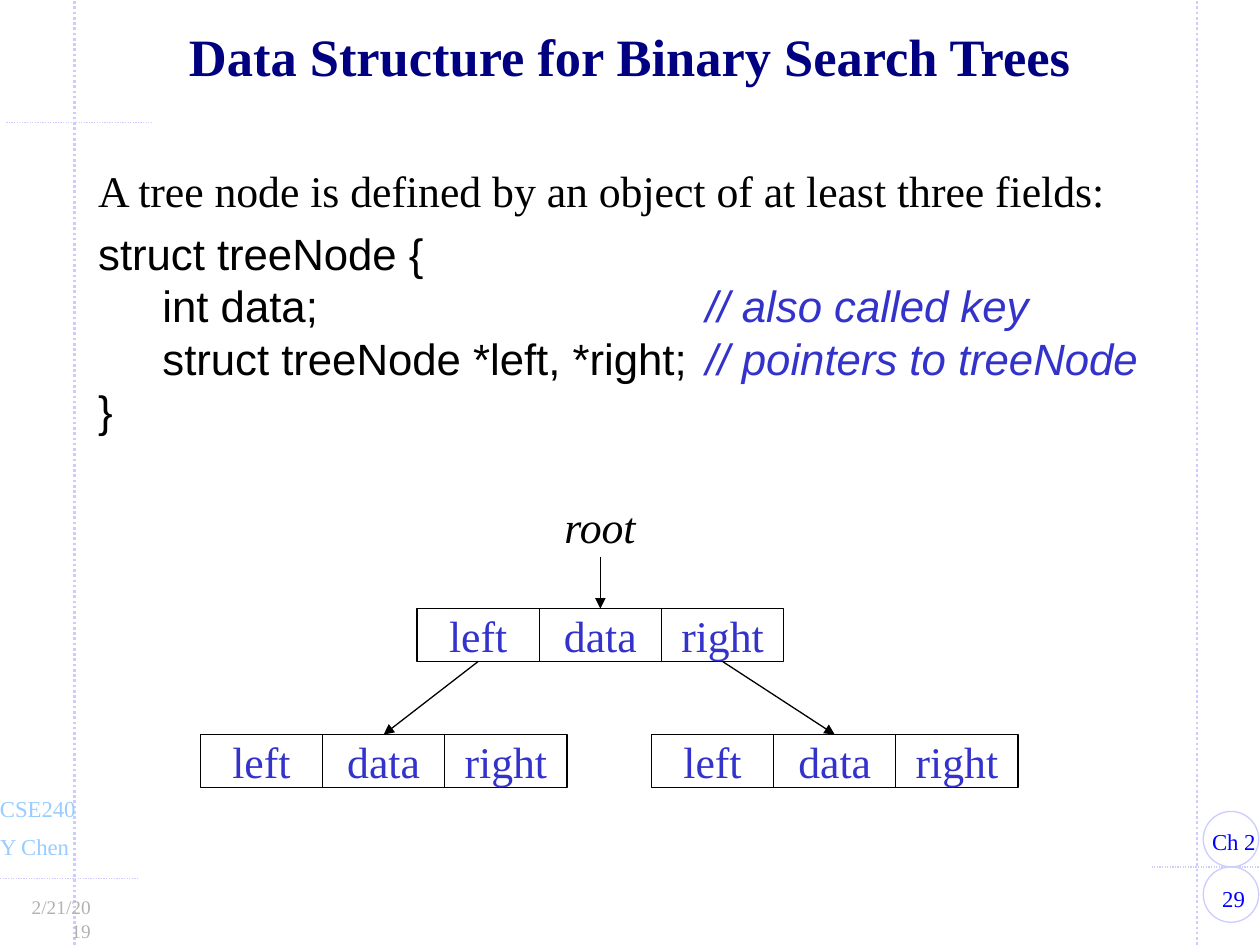
from pptx import Presentation
from pptx.dml.color import RGBColor
from pptx.enum.dml import MSO_LINE
from pptx.enum.shapes import MSO_CONNECTOR, MSO_SHAPE
from pptx.enum.text import MSO_ANCHOR, MSO_AUTO_SIZE, PP_ALIGN
from pptx.oxml.ns import qn
from pptx.util import Inches, Pt
from lxml import etree

BLACK = RGBColor(0x00, 0x00, 0x00)
WHITE = RGBColor(0xFF, 0xFF, 0xFF)
NAVY = RGBColor(0x00, 0x00, 0x80)
BLUE = RGBColor(0x00, 0x00, 0xFF)
INDIGO = RGBColor(0x33, 0x33, 0xCC)
LILAC = RGBColor(0xCC, 0xCC, 0xFF)
SKY = RGBColor(0x99, 0xCC, 0xFF)
GRAY = RGBColor(0xB2, 0xB2, 0xB2)
SERIF, SANS = "Times New Roman", "Arial"
STRAIGHT = MSO_CONNECTOR.STRAIGHT
RECT, OVAL = MSO_SHAPE.RECTANGLE, MSO_SHAPE.OVAL
DOTTED = MSO_LINE.ROUND_DOT
GROW = MSO_AUTO_SIZE.SHAPE_TO_FIT_TEXT
TOP, MIDDLE = MSO_ANCHOR.TOP, MSO_ANCHOR.MIDDLE
LEFT, CENTER, RIGHT = PP_ALIGN.LEFT, PP_ALIGN.CENTER, PP_ALIGN.RIGHT
TOP_SIDE, BOTTOM_SIDE = 0, 2
CELL_W, CELL_H = 0.97, 0.42
ROOT_X, ROOT_Y, CHILD_Y = 3.31, 4.83, 5.83
TAB_STOPS = (0.51, 4.82)


class Deck:
    """Builds the elements of the current slide in one style."""

    def __init__(self):
        self.prs = Presentation()
        self.prs.slide_width, self.prs.slide_height = Inches(10), Inches(7.5)
        self.s = self.prs.slides.add_slide(self.prs.slide_layouts[5])

    def frame(self, sp, anchor=TOP, wrap=True):
        tf = sp.text_frame
        tf.margin_left = tf.margin_right = Inches(0.11)
        tf.margin_top = tf.margin_bottom = Inches(0.05)
        tf.vertical_anchor, tf.word_wrap = anchor, wrap
        return tf

    def style(self, r, size, color, font=SERIF, bold=False, italic=False):
        r.font.size, r.font.name = Pt(size), font
        r.font.color.rgb = color
        r.font.bold, r.font.italic = bold, italic

    def title(self, text, x, y, w, h):
        sp = self.s.shapes.title
        sp.left, sp.top, sp.width, sp.height = map(Inches, (x, y, w, h))
        tf = self.frame(sp, MIDDLE)
        tf.text = text
        p = tf.paragraphs[0]
        p.alignment, p.line_spacing = CENTER, 0.85
        self.style(p.runs[0], 30, NAVY, bold=True)

    def box(self, x, y, w, h):
        return self.s.shapes.add_textbox(*map(Inches, (x, y, w, h)))

    def label(self, text, x, y, w, h, size, color, align=LEFT, wrap=False, italic=False):
        tf = self.frame(self.box(x, y, w, h), wrap=wrap)
        tf.auto_size = GROW
        tf.text = text
        p = tf.paragraphs[0]
        p.alignment = align
        self.style(p.runs[0], size, color, italic=italic)

    def code(self, lines, x, y, w, h):
        tf = self.frame(self.box(x, y, w, h))
        for i, (text, comment, font, spacing) in enumerate(lines):
            p = tf.paragraphs[0] if i == 0 else tf.add_paragraph()
            tabs = etree.SubElement(p._p.get_or_add_pPr(), qn("a:tabLst"))
            for pos in TAB_STOPS:
                etree.SubElement(tabs, qn("a:tab"), pos=str(Inches(pos)), algn="l")
            p.line_spacing = spacing
            for part, color in ((text, BLACK), (comment, INDIGO)):
                if part:
                    r = p.add_run()
                    r.text = part
                    self.style(r, 25, color, font, italic=color == INDIGO)

    def shape(self, kind, x, y, w, h, color):
        sp = self.s.shapes.add_shape(kind, *map(Inches, (x, y, w, h)))
        sp.shadow.inherit = False
        sp.fill.background()
        sp.line.color.rgb, sp.line.width = color, Pt(0.75)
        return sp

    def node(self, x, y):
        cells = []
        for i, text in enumerate(("left", "data", "right")):
            sp = self.shape(RECT, x + i * CELL_W, y, CELL_W, CELL_H, BLACK)
            sp.fill.solid()
            sp.fill.fore_color.rgb = WHITE
            tf = self.frame(sp, MIDDLE, wrap=False)
            tf.text = text
            tf.paragraphs[0].alignment = CENTER
            self.style(tf.paragraphs[0].runs[0], 25, INDIGO)
            cells.append(sp)
        return cells

    def line(self, x1, y1, x2, y2, color, width=0.75):
        ln = self.s.shapes.add_connector(STRAIGHT, *map(Inches, (x1, y1, x2, y2)))
        ln.line.color.rgb, ln.line.width = color, Pt(width)
        etree.SubElement(ln._element.spPr, qn("a:effectLst"))
        return ln

    def guide(self, x1, y1, x2, y2, width):
        self.line(x1, y1, x2, y2, LILAC, width).line.dash_style = DOTTED

    def arrow(self, target, source=None, start=(0, 0)):
        ln = self.line(*start, *start, BLACK)
        if source is not None:
            ln.begin_connect(source, BOTTOM_SIDE)
        ln.end_connect(target, TOP_SIDE)
        etree.SubElement(ln.line._get_or_add_ln(), qn("a:tailEnd"), type="triangle")


def main():
    deck = Deck()
    for x in (0.59, 9.5):
        deck.guide(x, 7.5, x, 0, 1.5)
    for x1, x2, y in ((-0.06, 1.09, 6.97), (9.14, 10.05, 6.88), (0.05, 1.2, 0.97)):
        deck.guide(x1, y, x2, y, 0.75)
    for y in (6.88, 6.44):
        deck.shape(OVAL, 9.55, y, 0.44, 0.44, LILAC)
    deck.label("29", 9.5, 6.97, 0.58, 0.32, 13, BLUE, CENTER, wrap=True)
    deck.label("Ch 2", 9.51, 6.52, 0.58, 0.32, 13, BLUE)
    deck.label("Y Chen", -0.11, 6.56, 0.79, 0.32, 13, SKY)
    deck.label("CSE240", -0.11, 6.26, 0.83, 0.32, 13, SKY)
    deck.label("2/21/2019", 0.08, 7.06, 0.75, 0.29, 11, GRAY, RIGHT, wrap=True)

    deck.title("Data Structure for Binary Search Trees", 0.73, 0.17, 8.54, 0.62)
    deck.code((
        ("A tree node is defined by an object of at least three fields:", "", SERIF, 1.0),
        ("struct treeNode {", "", SANS, 1.2),
        ("\tint data;\t", "// also called key", SANS, 1.0),
        ("\tstruct treeNode *left, *right;\t", "// pointers to treeNode", SANS, 1.0),
        ("}", "", SANS, 1.0),
    ), 0.67, 1.25, 9.47, 2.29)

    deck.label("root", 4.37, 3.92, 0.79, 0.52, 25, BLACK, italic=True)
    root_left, root_data, root_right = deck.node(ROOT_X, ROOT_Y)
    left_child = deck.node(1.59, CHILD_Y)
    right_child = deck.node(5.17, CHILD_Y)
    deck.arrow(root_data, start=(ROOT_X + 1.5 * CELL_W, 4.42))
    deck.arrow(left_child[1], root_left)
    deck.arrow(right_child[1], root_right)
    deck.prs.save("out.pptx")


if __name__ == "__main__":
    main()
